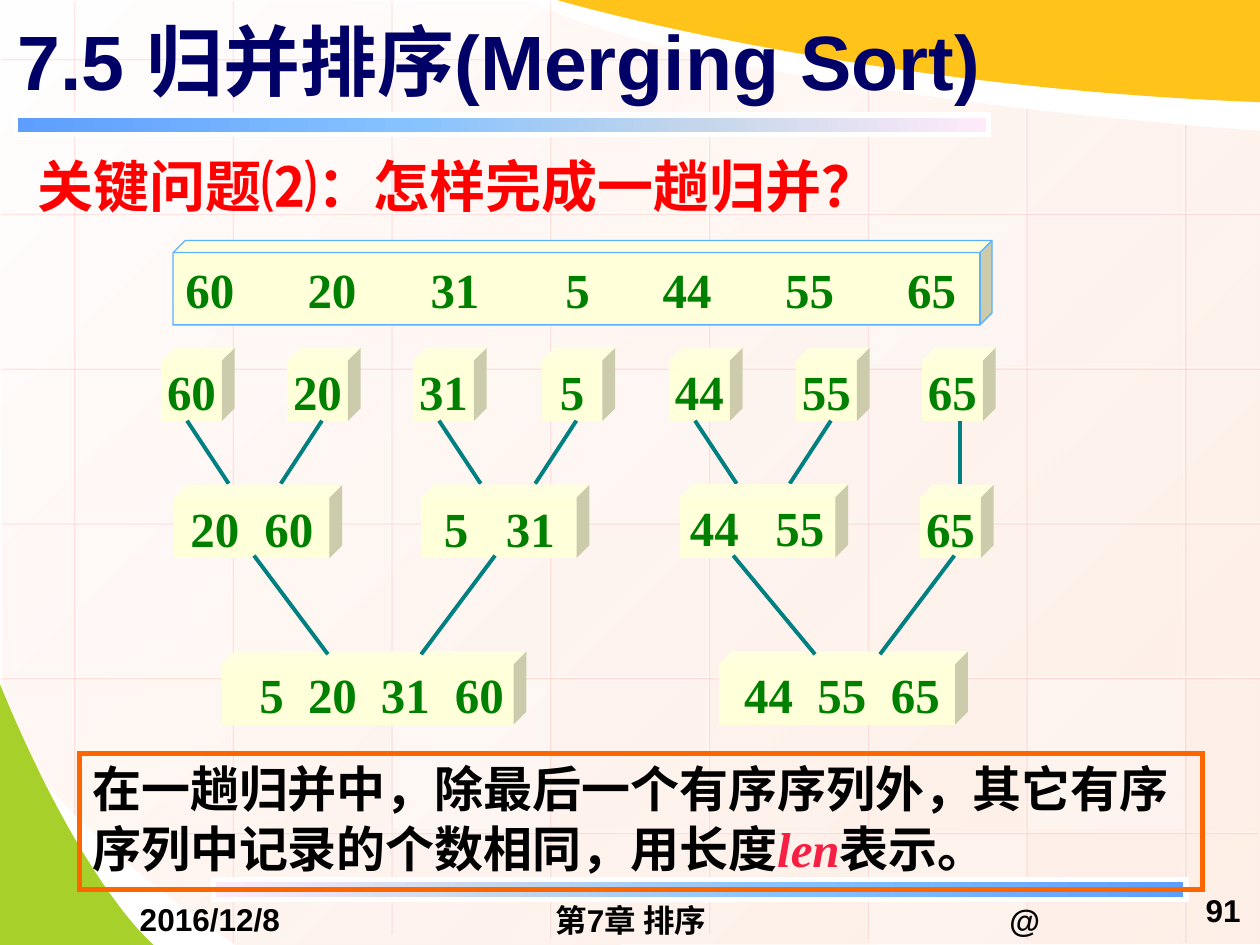
from dataclasses import dataclass

from lxml.etree import SubElement
from pptx import Presentation
from pptx.dml.color import RGBColor
from pptx.enum.shapes import MSO_CONNECTOR as Connector, MSO_SHAPE as Shape
from pptx.enum.text import MSO_ANCHOR as Anchor, PP_ALIGN as Align
from pptx.oxml.ns import qn
from pptx.util import Cm, Pt


@dataclass(frozen=True)
class Theme:
    white: str = "FFFFFF"
    black: str = "000000"
    navy: str = "000066"
    red: str = "FF0000"
    crimson: str = "F62044"
    green: str = "008000"
    teal: str = "008080"
    cream: str = "FFFFD9"
    sky: str = "5CB1FE"
    orange: str = "FF6600"
    leaf: str = "A8D02A"
    sun: str = "FFC319"
    grid_shadow: str = "FF7575"
    backdrop: tuple = ((0, "FFFEFE", 100), (100, "FEE9DE", 70))
    bar: tuple = ((0, "5E9EFF", 100), (40, "85C2FF", 100),
                  (70, "C4D6EB", 100), (100, "FFEBFA", 100))
    sans: str = "Arial"
    serif: str = "Times New Roman"
    cjk: str = "Noto Sans CJK SC"
    title_size: int = 44
    question_size: int = 32
    body_size: int = 28
    footer_size: int = 18


THEME = Theme()
WIDTH, HEIGHT = 25.4, 19.05
GRID_LEFT, GRID_TOP, COLUMN, ROW = 1.47, 1.17, 3.2, 3.12
CUBE = 1.48


def rgb(value):
    return RGBColor.from_string(value)


def set_alpha(color_parent, percent):
    color = color_parent.find(".//" + qn("a:srgbClr"))
    SubElement(color, qn("a:alpha"), val=str(percent * 1000))


def paint(shape, fill=None, line=None, line_width=0.75):
    shape.shadow.inherit = False
    if fill:
        shape.fill.solid()
        shape.fill.fore_color.rgb = rgb(fill)
    else:
        shape.fill.background()
    if line:
        shape.line.color.rgb = rgb(line)
        shape.line.width = Pt(line_width)
        SubElement(shape.element.spPr.find(qn("a:ln")), qn("a:miter"), lim="800000")
    else:
        shape.line.fill.background()


def paint_gradient(shape, stops, angle):
    shape.fill.gradient()
    shape.fill.gradient_angle = angle
    stop_list = shape.element.spPr.find(".//" + qn("a:gsLst"))
    stop_list.clear()
    for position, color, opacity in stops:
        stop = SubElement(stop_list, qn("a:gs"), pos=str(position * 1000))
        SubElement(stop, qn("a:srgbClr"), val=color)
        if opacity < 100:
            set_alpha(stop, opacity)


def style_run(run, size, color, font=THEME.sans, italic=False):
    run.font.size = Pt(size)
    run.font.bold = True
    run.font.italic = italic
    run.font.color.rgb = rgb(color)
    run.font.name = font
    SubElement(run.font._element, qn("a:ea"), typeface=THEME.cjk)


def add_shape(slide, kind, left, top, width, height):
    return slide.shapes.add_shape(kind, Cm(left), Cm(top), Cm(width), Cm(height))


def add_outline(slide, points, curve_starts, fill=None):
    first, *rest = [(Cm(x), Cm(y)) for x, y in points]
    builder = slide.shapes.build_freeform(*first)
    builder.add_line_segments(rest, close=True)
    outline = builder.convert_to_shape()
    segments = outline.element.spPr.findall(".//" + qn("a:lnTo"))
    for start in curve_starts:
        bend, *others = segments[start:start + 3]
        bend.tag = qn("a:cubicBezTo")
        for segment in others:
            bend.append(segment[0])
            segment.getparent().remove(segment)
    paint(outline, fill)
    return outline


def add_line(slide, x1, y1, x2, y2, color=THEME.teal, width=2.25):
    line = slide.shapes.add_connector(Connector.STRAIGHT, Cm(x1), Cm(y1), Cm(x2), Cm(y2))
    line.line.color.rgb = rgb(color)
    line.line.width = Pt(width)
    effects = SubElement(line.element.spPr, qn("a:effectLst"))
    return line, effects


def add_grid_line(slide, *ends):
    line, effects = add_line(slide, *ends, THEME.white, 0.75)
    set_alpha(line.element.spPr, 50)
    shadow = SubElement(effects, qn("a:outerShdw"), dist=str(Pt(1.4)),
                        dir="2700000", algn="ctr", rotWithShape="0")
    SubElement(shadow, qn("a:srgbClr"), val=THEME.grid_shadow)
    set_alpha(shadow, 33)


def add_label(slide, text, left, top, width, height, size, color,
              align=Align.CENTER, anchor=Anchor.MIDDLE, inset=0, font=THEME.sans):
    label = slide.shapes.add_textbox(Cm(left), Cm(top), Cm(width), Cm(height))
    frame = label.text_frame
    frame.word_wrap = True
    frame.vertical_anchor = anchor
    frame.margin_top = frame.margin_bottom = Cm(inset)
    frame.text = text
    frame.paragraphs[0].alignment = align
    style_run(frame.paragraphs[0].runs[0], size, color, font)


def add_footer(slide, text, left, top, width):
    add_label(slide, text, left, top, width, 0.76, THEME.footer_size, THEME.black)


def add_cube(slide, left, top, width, numbers, offsets=None,
             height=CUBE, depth=0.173, line=None):
    cube = add_shape(slide, Shape.CUBE, left, top, width, height)
    cube.adjustments[0] = depth
    paint(cube, THEME.cream, line)
    frame = cube.text_frame
    frame.vertical_anchor = Anchor.MIDDLE
    frame.word_wrap = offsets is not None
    paragraph = frame.paragraphs[0]
    paragraph.text = "\t".join(numbers.split())
    paragraph.alignment = Align.LEFT if offsets else Align.CENTER
    if offsets:
        first, *rest = offsets
        frame.margin_left, frame.margin_right = Cm(first), 0
        tabs = SubElement(paragraph._p.get_or_add_pPr(), qn("a:tabLst"))
        for offset in rest:
            SubElement(tabs, qn("a:tab"), pos=str(Cm(offset - first)), algn="l")
    for run in paragraph.runs:
        style_run(run, THEME.body_size, THEME.green, THEME.serif)


def add_background(slide):
    backdrop = add_outline(slide, [
        (25.43, 2.64), (25.43, 10.85), (25.43, 19.02), (25.43, 19.02),
        (4.75, HEIGHT), (1.4, 16.76), (0.03, 14.73), (0.05, 14.73),
        (-0.03, -0.03), (10.69, 0.03), (10.69, 0.03), (13.64, 1.75), (25.43, 2.64)],
        (0, 4, 9))
    paint_gradient(backdrop, THEME.backdrop, 315)
    add_outline(slide, [(-0.03, 13.72), (-0.03, HEIGHT), (3.1, HEIGHT),
                        (3.1, HEIGHT), (1.68, 17.91), (-0.03, 13.72)], (2,), THEME.leaf)

    spans = [(0, 16.41), (0, 18.97), (0, 18.8), (0, 18.9),
             (1.09, 18.8), (1.73, 18.9), (2.16, 18.9), (2.49, 18.97)]
    for column, (top, bottom) in enumerate(spans):
        x = GRID_LEFT + COLUMN * column
        add_grid_line(slide, x, top, x, bottom)
    spans = [(0, 14.43)] + [(0, 25.43)] * 4 + [(1.93, 25.32)]
    for row, (left, right) in enumerate(spans):
        y = GRID_TOP + ROW * row
        add_grid_line(slide, right, y, left, y)

    for column, row, opacity in [(3, 2, 25), (6, 4, 30), (0, 3, 20), (5, 5, 20),
                                 (2, -1, 40), (2, 4, 30), (5, 1, 30)]:
        y = GRID_TOP + ROW * row + 0.06
        top, bottom = max(y, 0), min(y + 3, HEIGHT)
        tile = add_shape(slide, Shape.RECTANGLE, GRID_LEFT + COLUMN * column + 0.05,
                         top, 3.12, bottom - top)
        paint(tile, THEME.white)
        set_alpha(tile.element.spPr, opacity)

    add_outline(slide, [(WIDTH, 2.06), (WIDTH, 0), (11.23, 0),
                        (11.23, 0), (17.12, 1.75), (WIDTH, 2.06)], (2,), THEME.sun)
    add_footer(slide, "@", 17.7, 18.16, 5.92)
    for left, top, rotation in [(0.32, 2.32, 0), (4.3, 17.73, 180)]:
        bar = add_shape(slide, Shape.RECTANGLE, left, top, 19.61, 0.4)
        paint(bar, line=THEME.white, line_width=3)
        paint_gradient(bar, THEME.bar, 0)
        bar.rotation = rotation


def move_to_layout(slide, parts):
    layout_tree = slide.slide_layout.shapes._spTree
    for index, part in enumerate(parts):
        part.element.find(".//" + qn("p:cNvPr")).set("id", str(100 + index))
        layout_tree.insert(2 + index, part.element)


def add_title(slide, text):
    title = slide.shapes.title
    title.left, title.top, title.width, title.height = Cm(0.1), Cm(-0.08), Cm(22.86), Cm(2.57)
    title.text_frame.text = text
    title.text_frame.vertical_anchor = Anchor.MIDDLE
    title.text_frame.paragraphs[0].alignment = Align.LEFT
    style_run(title.text_frame.paragraphs[0].runs[0], THEME.title_size, THEME.navy)


def add_merge_tree(slide):
    unsorted = "60 20 31 5 44 55 65"
    lefts = (3.25, 5.79, 8.33, 10.92, 13.49, 16.05, 18.59)
    for index, (left, number) in enumerate(zip(lefts, unsorted.split())):
        add_cube(slide, left, 7.01, CUBE, number)
        if index == 6:
            start, end = 0.76, 0.76
        else:
            start, end = (0.7, -0.13) if index % 2 else (0.52, 1.36)
        add_line(slide, left + start, 8.48, left + end, 9.75)
    add_cube(slide, 3.49, 4.85, 16.51, unsorted,
             (0.25, 2.71, 5.19, 7.91, 9.87, 12.34, 14.8), 1.7, 0.143, THEME.sky)
    for left, top, width, numbers, offsets in [
            (3.51, 9.77, 3.39, "20 60", (0.33, 1.82)),
            (8.49, 9.77, 3.39, "5 31", (0.46, 1.71)),
            (13.71, 9.76, 3.39, "44 55", (0.2, 1.92)),
            (18.55, 9.77, CUBE, "65", None),
            (4.47, 13.13, 6.14, "5 20 31 60", (0.76, 1.74, 3.21, 4.7)),
            (14.5, 13.13, 5.01, "44 55 65", (0.5, 1.98, 3.46))]:
        add_cube(slide, left, top, width, numbers, offsets)
    for start, end in [(5.12, 6.61), (9.98, 8.49), (14.78, 16.43), (19.24, 17.74)]:
        add_line(slide, start, 11.2, end, 13.19)


def add_summary(slide):
    summary = add_shape(slide, Shape.RECTANGLE, 1.61, 15.19, 22.63, 2.74)
    paint(summary, line=THEME.orange, line_width=3)
    summary.text_frame.vertical_anchor = Anchor.TOP
    summary.text_frame.margin_top = Cm(0.07)
    paragraph = summary.text_frame.paragraphs[0]
    paragraph.alignment = Align.LEFT
    paragraph.line_spacing = Pt(34.3)
    for text, color, italic in [
            ("在一趟归并中，除最后一个有序序列外，其它有序序列中记录的个数相同，用长度", THEME.black, False),
            ("len", THEME.crimson, True), ("表示。", THEME.black, False)]:
        run = paragraph.add_run()
        run.text = text
        style_run(run, THEME.body_size, color, THEME.serif, italic)


def main():
    deck = Presentation()
    deck.slide_width, deck.slide_height = Cm(WIDTH), Cm(HEIGHT)
    slide = deck.slides.add_slide(deck.slide_layouts[5])
    add_background(slide)
    move_to_layout(slide, [part for part in slide.shapes if not part.is_placeholder])
    add_title(slide, "7.5 归并排序(Merging Sort)")
    add_footer(slide, "2016/12/8", 1.27, 18.14, 5.92)
    add_footer(slide, "第7章 排序", 8.69, 18.16, 8.05)
    add_label(slide, "91", 23.58, 17.73, 1.68, 1.24, THEME.footer_size, THEME.black, Align.RIGHT)
    add_label(slide, "关键问题⑵：怎样完成一趟归并？", 0.51, 2.92, 24.41, 1.63, THEME.question_size,
              THEME.red, Align.LEFT, Anchor.TOP, 0.13, THEME.cjk)
    add_merge_tree(slide)
    add_summary(slide)
    deck.save("out.pptx")


if __name__ == "__main__":
    main()
